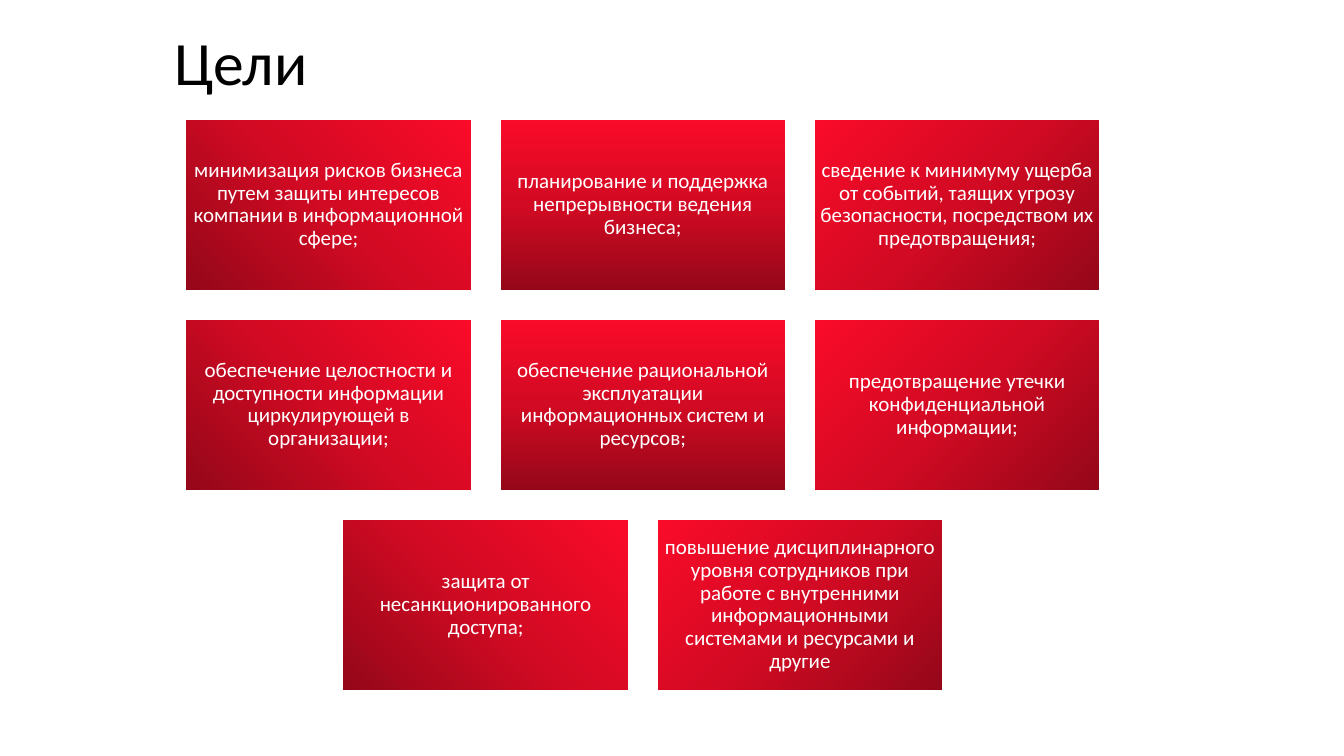
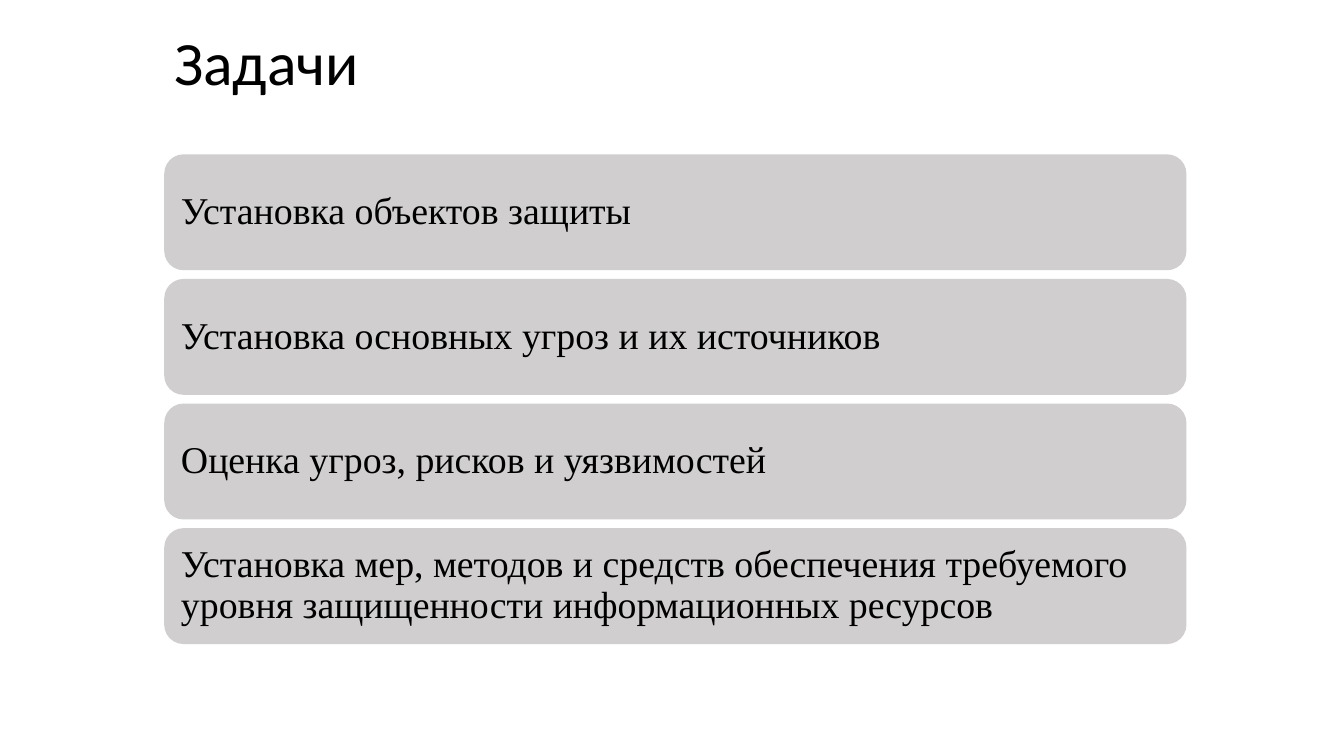
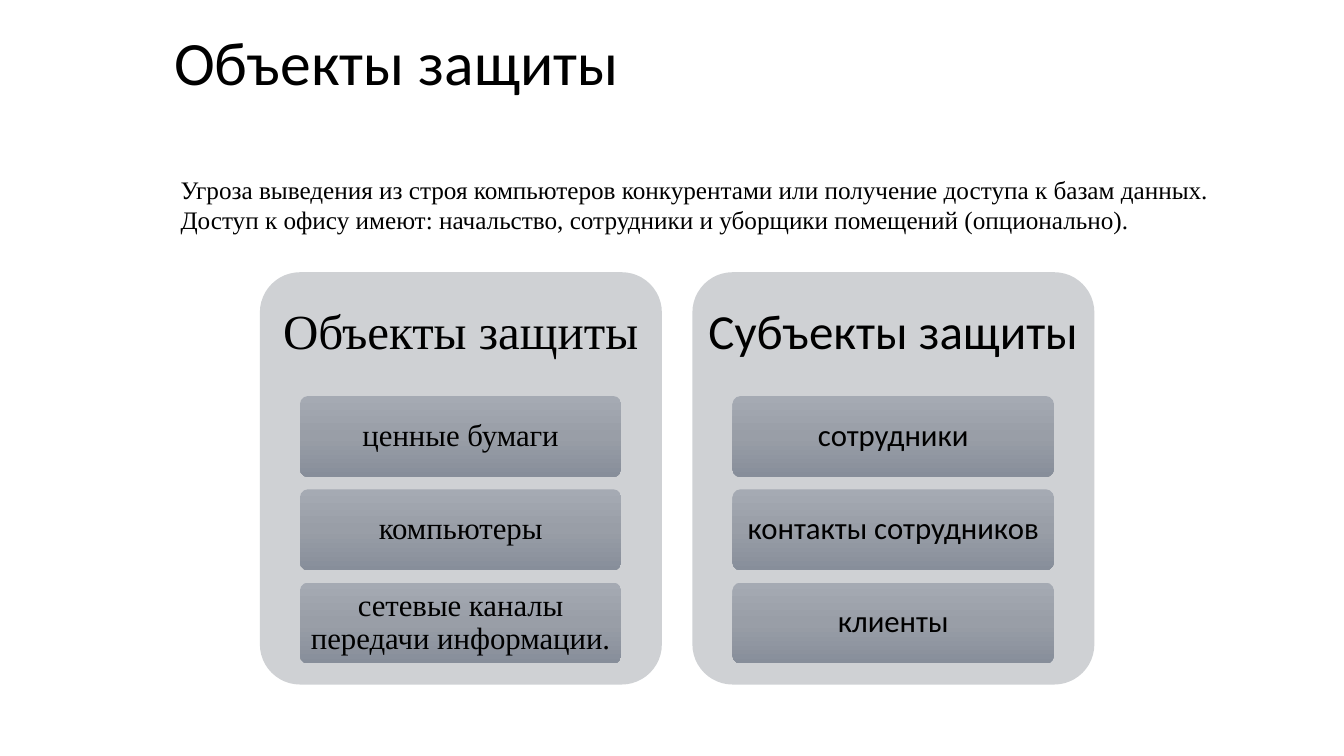
from copy import deepcopy

from pptx import Presentation
from pptx.dml.color import RGBColor
from pptx.enum.shapes import MSO_SHAPE
from pptx.enum.text import MSO_ANCHOR, MSO_AUTO_SIZE, PP_ALIGN
from pptx.oxml.ns import qn
from pptx.util import Cm, Pt

RECT, ROUND = MSO_SHAPE.RECTANGLE, MSO_SHAPE.ROUNDED_RECTANGLE
LEFT, CENTER, JUSTIFY = PP_ALIGN.LEFT, PP_ALIGN.CENTER, PP_ALIGN.JUSTIFY
MIDDLE = MSO_ANCHOR.MIDDLE
SANS, SERIF = "Calibri", "Times New Roman"
COLORS = {
    "black": "000000", "white": "FFFFFF", "bar": "D0CECE", "panel": "CFD1D4",
    "red_dark": "940719", "red": "D20A23", "red_light": "FA0B29",
    "grey_light": "A5AAB3", "grey": "999EA7", "grey_dark": "878E9A",
}
RGB = {name: RGBColor.from_string(value) for name, value in COLORS.items()}
REDS = ("red_dark", "red", "red_light")
GREYS = ("grey_light", "grey", "grey_dark")


def add_box(s, kind, x, y, w, h, colors, angle=0):
    sp = s.shapes.add_shape(kind, Cm(x), Cm(y), Cm(w), Cm(h))
    sp.shadow.inherit = False
    sp.line.fill.background()
    if len(colors) == 1:
        sp.fill.solid()
        sp.fill.fore_color.rgb = RGB[colors[0]]
        return sp
    sp.fill.gradient()
    sp.fill.gradient_angle = angle
    stops = sp._element.spPr.find(".//" + qn("a:gsLst"))
    stops.insert(1, deepcopy(stops[0]))
    for i, (stop, color) in enumerate(zip(sp.fill.gradient_stops, colors)):
        stop.position = i / 2
        stop.color.rgb = RGB[color]
    return sp


def write(sp, text, font, size, color="black", align=CENTER, inset=0.15):
    tf = sp.text_frame
    tf.word_wrap = True
    tf.auto_size = MSO_AUTO_SIZE.NONE
    tf.vertical_anchor = MIDDLE
    tf.margin_left = tf.margin_right = tf.margin_top = tf.margin_bottom = Cm(inset)
    p = tf.paragraphs[0]
    p.text = text
    p.alignment = align
    p.line_spacing = 0.9
    p.font.name = font
    p.font.size = Pt(size)
    p.font.color.rgb = RGB[color]


prs = Presentation()
prs.slide_width, prs.slide_height = Cm(33.87), Cm(19.05)

for title in ("Цели", "Задачи", "Объекты защиты"):
    sp = prs.slides.add_slide(prs.slide_layouts[5]).shapes.title
    sp.left, sp.top, sp.width, sp.height = Cm(4.14), Cm(0.56), Cm(29.21), Cm(2.16)
    write(sp, title, SANS, 44, align=LEFT, inset=0.25)
goals, tasks, assets = prs.slides

GOALS = (
    (
        (45, "минимизация рисков бизнеса путем защиты интересов компании в информационной сфере;"),
        (90, "планирование и поддержка непрерывности ведения бизнеса;"),
        (135, "сведение к минимуму ущерба от событий, таящих угрозу безопасности, посредством их предотвращения;"),
    ),
    (
        (45, "обеспечение целостности и доступности информации циркулирующей в организации;"),
        (90, "обеспечение рациональной эксплуатации информационных систем и ресурсов;"),
        (135, "предотвращение утечки конфиденциальной информации;"),
    ),
    (
        (45, "защита от несанкционированного доступа;"),
        (135, "повышение дисциплинарного уровня сотрудников при работе с внутренними "
              "информационными системами и ресурсами и другие"),
    ),
)
w, h, gap = 7.2, 4.32, 0.72
for row, cells in enumerate(GOALS):
    x = 4.68 + (3 - len(cells)) * (w + gap) / 2
    for col, (angle, text) in enumerate(cells):
        sp = add_box(goals, RECT, x + col * (w + gap), 3 + row * (h + gap), w, h, REDS, angle)
        sp.line.color.rgb = RGB["white"]
        sp.line.width = Pt(1)
        write(sp, text, SANS, 15, "white")

TASKS = (
    "Установка объектов защиты",
    "Установка основных угроз и их источников",
    "Оценка угроз, рисков и уязвимостей",
    "Установка мер, методов и средств обеспечения требуемого уровня защищенности информационных ресурсов",
)
for i, text in enumerate(TASKS):
    sp = add_box(tasks, ROUND, 4.14, 3.89 + i * 3.14, 25.76, 2.92, ("bar",))
    write(sp, text, SERIF, 27, align=LEFT, inset=0.28)

tf = assets.shapes.add_textbox(Cm(3.05), Cm(4.27), Cm(29.11), Cm(1.8)).text_frame
tf.word_wrap = True
tf.text = (
    "Угроза выведения из строя компьютеров конкурентами или получение доступа к базам данных.\n"
    "Доступ к офису имеют: начальство, сотрудники и уборщики помещений (опционально)."
)
for p in tf.paragraphs:
    p.alignment = JUSTIFY
    p.font.name = SERIF
    p.font.size = Pt(18)
    p.font.color.rgb = RGB["black"]
    p._p.get_or_add_pPr().set("indent", str(Cm(1.25)))

PANELS = (
    ("Объекты защиты", SERIF, ("ценные бумаги", "компьютеры", "сетевые каналы передачи информации.")),
    ("Субъекты защиты", SANS, ("сотрудники", "контакты сотрудников", "клиенты")),
)
for col, (heading, font, items) in enumerate(PANELS):
    x, y, w = 6.55 + col * 10.9, 6.86, 10.13
    add_box(assets, ROUND, x, y, w, 10.39, ("panel",)).adjustments[0] = 0.1
    sp = assets.shapes.add_textbox(Cm(x), Cm(y), Cm(w), Cm(3.12))
    write(sp, heading, font, 35, inset=0.37)
    for i, text in enumerate(items):
        sp = add_box(assets, ROUND, x + 1.01, y + 3.12 + i * 2.35, 8.1, 2.04, GREYS, 270)
        sp.adjustments[0] = 0.1
        write(sp, text, font, 22, inset=0.14)

prs.save("out.pptx")
